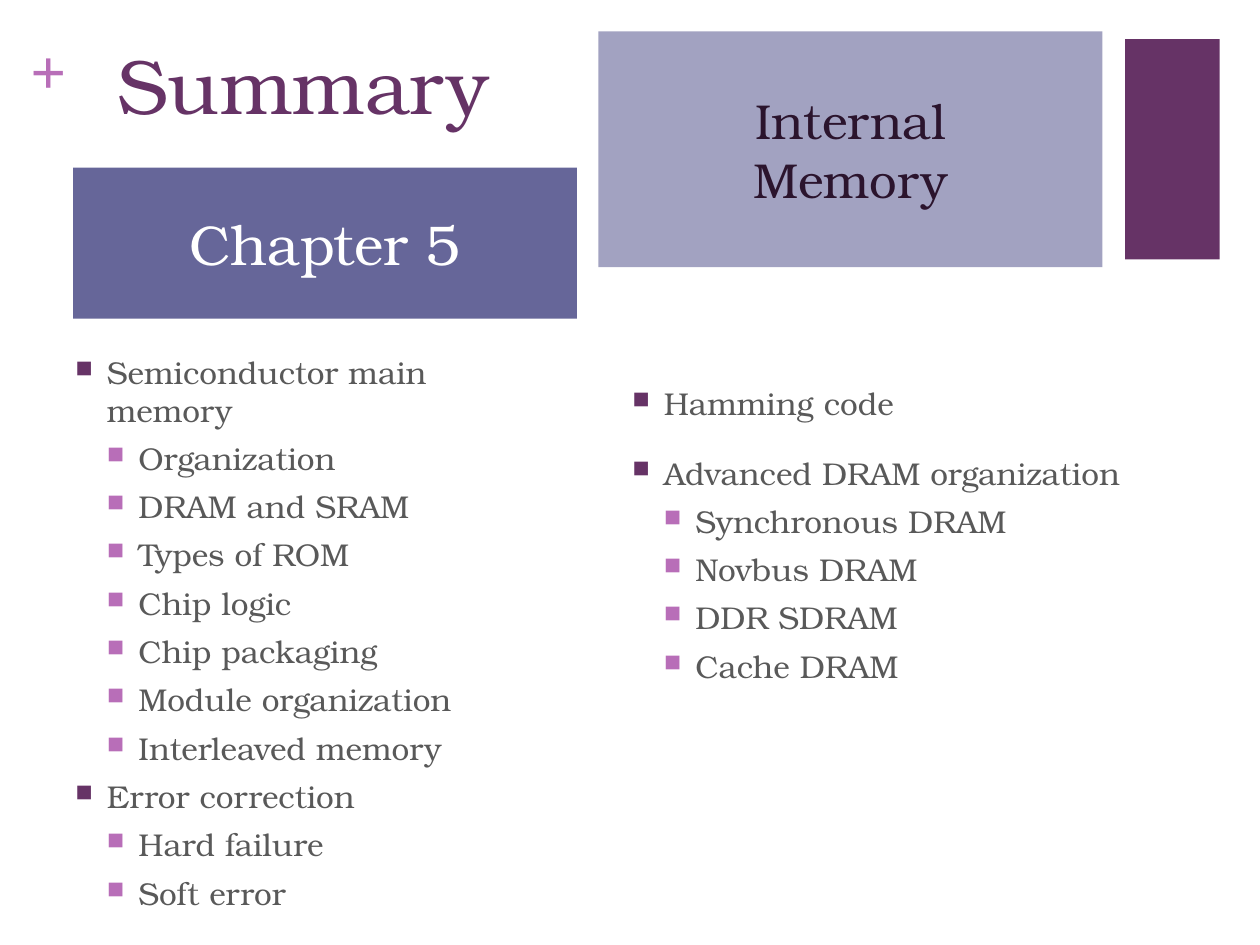
import pptx
import pptx.dml.color
import pptx.enum.shapes
import pptx.enum.text
import pptx.oxml.ns
import pptx.util
from lxml import etree
from pptx.util import Inches

RGBColor = pptx.dml.color.RGBColor
PP_ALIGN = pptx.enum.text.PP_ALIGN
MSO_ANCHOR = pptx.enum.text.MSO_ANCHOR

PLUM = RGBColor(0x66, 0x33, 0x66)
ORCHID = RGBColor(0xB8, 0x6E, 0xB8)
SLATE = RGBColor(0x66, 0x66, 0x99)
LAVENDER = RGBColor(0xA2, 0xA2, 0xC1)
GREY = RGBColor(0x59, 0x59, 0x59)
WHITE = RGBColor(0xFF, 0xFF, 0xFF)
INK = RGBColor(0x2B, 0x14, 0x2D)

SERIF = "TeX Gyre Bonum"
BULLET_COLORS = (PLUM, ORCHID)

MAIN_TOPICS = [
    (0, "Semiconductor main memory", 0),
    (1, "Organization", 6),
    (1, "DRAM and SRAM", 6),
    (1, "Types of ROM", 6),
    (1, "Chip logic", 6),
    (1, "Chip packaging", 6),
    (1, "Module organization", 6),
    (1, "Interleaved memory", 6),
    (0, "Error correction", 6),
    (1, "Hard failure", 6),
    (1, "Soft error", 6),
]
ADVANCED_TOPICS = [
    (0, "Hamming code", 0),
    (0, "Advanced DRAM organization", 18),
    (1, "Synchronous DRAM", 6),
    (1, "Novbus DRAM", 6),
    (1, "DDR SDRAM", 6),
    (1, "Cache DRAM", 6),
]


def set_attrs(obj, values):
    for name, value in values.items():
        setattr(obj, name, value)


def add_run(p, text, size, color, name=SERIF, bold=False):
    r = p.add_run()
    r.text = text
    set_attrs(r.font, {"size": pptx.util.Pt(size), "name": name, "bold": bold})
    r.font.color.rgb = color


def add_bullet(p, level):
    pPr = p._p.get_or_add_pPr()
    pPr.set("marL", str(Inches(0.25 * (level + 1))))
    pPr.set("indent", str(Inches(-0.25)))
    qn = pptx.oxml.ns.qn
    color = etree.SubElement(pPr, qn("a:buClr"))
    etree.SubElement(color, qn("a:srgbClr"), val=str(BULLET_COLORS[level]))
    etree.SubElement(pPr, qn("a:buSzPct"), val="75000")
    etree.SubElement(pPr, qn("a:buChar"), char="■")


def add_title(s, text, left, top, width, height):
    sp = s.shapes.title
    set_attrs(sp, {"left": Inches(left), "top": Inches(top),
                   "width": Inches(width), "height": Inches(height)})
    tf = sp.text_frame
    set_attrs(tf, {"word_wrap": True, "vertical_anchor": MSO_ANCHOR.TOP,
                   "auto_size": pptx.enum.text.MSO_AUTO_SIZE.NONE})
    p = tf.paragraphs[0]
    p.alignment = PP_ALIGN.LEFT
    add_run(p, text, 44, PLUM)


def add_plus(s, left, top, width, height):
    sp = s.shapes.add_textbox(*map(Inches, (left, top, width, height)))
    tf = sp.text_frame
    set_attrs(tf, {"margin_left": 0, "margin_top": 0,
                   "margin_right": 0, "margin_bottom": 0})
    add_run(tf.paragraphs[0], "+", 36, ORCHID, "Times New Roman", True)


def add_block(s, left, top, width, height, fill, lines=(), size=18, color=WHITE):
    sp = s.shapes.add_shape(pptx.enum.shapes.MSO_SHAPE.RECTANGLE,
                            *map(Inches, (left, top, width, height)))
    sp.shadow.inherit = False
    sp.fill.solid()
    sp.fill.fore_color.rgb = fill
    sp.line.fill.background()
    tf = sp.text_frame
    set_attrs(tf, {"margin_top": 0, "margin_bottom": 0, "word_wrap": True,
                   "vertical_anchor": MSO_ANCHOR.MIDDLE})
    for i, line in enumerate(lines):
        p = tf.add_paragraph() if i else tf.paragraphs[0]
        p.alignment = PP_ALIGN.CENTER
        add_run(p, line, size, color)


def add_topics(s, left, top, width, height, topics):
    sp = s.shapes.add_textbox(*map(Inches, (left, top, width, height)))
    tf = sp.text_frame
    tf.word_wrap = True
    for i, (level, text, before) in enumerate(topics):
        p = tf.add_paragraph() if i else tf.paragraphs[0]
        set_attrs(p, {"level": level, "space_before": pptx.util.Pt(before)})
        add_bullet(p, level)
        add_run(p, text, 18, GREY)


def main():
    prs = pptx.Presentation()
    set_attrs(prs, {"slide_width": Inches(10), "slide_height": Inches(7.5)})
    s = prs.slides.add_slide(prs.slide_layouts[5])
    add_block(s, 8.93, 0.31, 0.75, 1.75, PLUM)
    add_plus(s, 0.24, 0.25, 0.29, 0.61)
    add_title(s, "Summary", 0.83, 0.25, 3.75, 1.22)
    add_topics(s, 0.5, 2.75, 4, 4.75, MAIN_TOPICS)
    add_topics(s, 4.92, 3, 4.17, 4.75, ADVANCED_TOPICS)
    add_block(s, 0.58, 1.33, 4, 1.2, SLATE, ["Chapter 5"], 32, WHITE)
    add_block(s, 4.75, 0.25, 4, 1.87, LAVENDER, ["Internal", "Memory"], 28, INK)
    prs.save("out.pptx")


if __name__ == "__main__":
    main()
